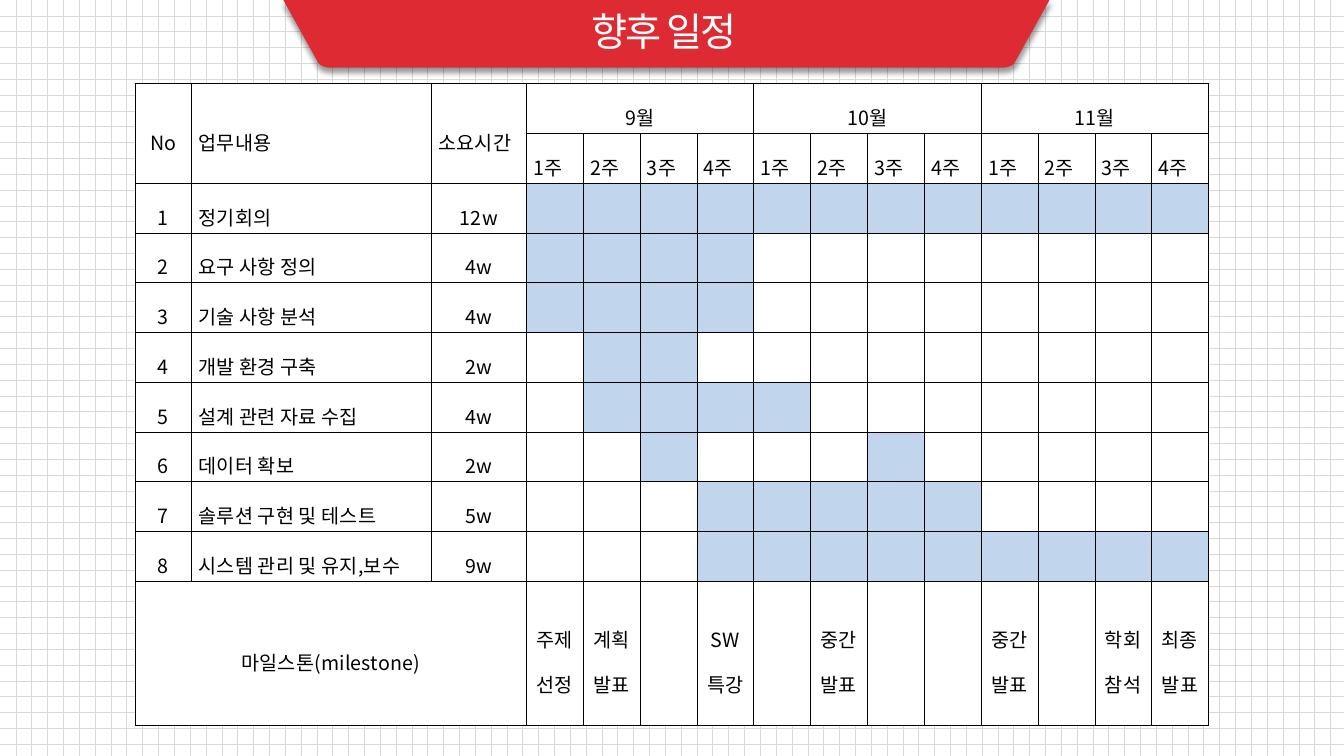
from lxml.etree import SubElement
from pptx import Presentation
from pptx.dml.color import RGBColor
from pptx.enum.dml import MSO_PATTERN
from pptx.enum.text import MSO_ANCHOR, PP_ALIGN
from pptx.oxml.ns import qn
from pptx.util import Inches, Pt

TITLE = "향후 일정"
HEADS = ["No", "업무내용", "소요시간"]
MONTHS = ["9월", "10월", "11월"]
WEEKS = ["1주", "2주", "3주", "4주"]
# task, time, busy spans of weeks (first, last) counted from 1 to 12
TASKS = [
    ("정기회의", "12w", [(1, 12)]),
    ("요구 사항 정의", "4w", [(1, 4)]),
    ("기술 사항 분석", "4w", [(1, 4)]),
    ("개발 환경 구축", "2w", [(2, 3)]),
    ("설계 관련 자료 수집", "4w", [(2, 5)]),
    ("데이터 확보", "2w", [(3, 3), (7, 7)]),
    ("솔루션 구현 및 테스트", "5w", [(4, 8)]),
    ("시스템 관리 및 유지,보수", "9w", [(4, 12)]),
]
GOAL = "마일스톤(milestone)"
GOALS = {1: "주제선정", 2: "계획발표", 4: "SW\n특강", 6: "중간발표",
         9: "중간\n발표", 11: "학회\n참석", 12: "최종발표"}

COLORS = {"red": "DE2A33", "busy": "C1D6ED", "white": "FFFFFF",
          "black": "000000", "dots": "D9D9D9"}
FONT = "Noto Sans CJK KR"
LEFT, TOP, WIDTH = 1.34, 0.83, 10.65
LEAD = [0.56, 2.38, 0.94]
ROW, LAST = 0.49, 1.43
SPAN = len(MONTHS) * len(WEEKS)


def color(name):
    return RGBColor.from_string(COLORS[name])


def style(para, size, tone, gap, lines, align):
    """Format a paragraph and its runs; gap is letter spacing in 1/100 pt."""
    para.alignment, para.line_spacing = align, lines
    for run in para.runs:
        font = run.font
        font.size, font.name = Pt(size), FONT
        font.color.rgb = color(tone)
        props = font._element
        props.set("spc", str(gap))
        SubElement(props, qn("a:ea"), typeface=FONT)


def curve(a, b, c, d, steps=6):
    """Points along a cubic curve from a to d."""
    points = []
    for i in range(steps + 1):
        t = i / steps
        u = 1 - t
        points.append(tuple(u**3 * p + 3 * u * u * t * q + 3 * u * t * t * r + t**3 * s
                            for p, q, r, s in zip(a, b, c, d)))
    return points


def add_banner(slide):
    mid = 6.61
    right = [(10.41, 0)] + curve((10.07, 0.61), (10.05, 0.65), (10.02, 0.66), (9.97, 0.67))
    left = [(2 * mid - x, y) for x, y in reversed(right)]
    first, *rest = [(Inches(x), Inches(y)) for x, y in right + left]
    form = slide.shapes.build_freeform(*first)
    form.add_line_segments(rest, close=True)
    banner = form.convert_to_shape()
    banner.fill.solid()
    banner.fill.fore_color.rgb = color("red")
    banner.line.fill.background()
    banner.shadow.inherit = False
    effects = banner.element.spPr.find(qn("a:effectLst"))
    shade = SubElement(effects, qn("a:outerShdw"), blurRad=str(Pt(4)), dist=str(Pt(3)),
                       dir="5400000", algn="t", rotWithShape="0")
    tint = SubElement(shade, qn("a:srgbClr"), val=COLORS["black"])
    SubElement(tint, qn("a:alpha"), val="40000")
    slide.shapes.title.element.addprevious(banner.element)


def add_title(slide):
    title = slide.shapes.title
    title.left, title.top = Inches(5.77), Inches(0.05)
    title.width, title.height = Inches(2.12), Inches(0.57)
    frame = title.text_frame
    frame.text = TITLE
    frame.vertical_anchor = MSO_ANCHOR.MIDDLE
    style(frame.paragraphs[0], 28, "white", -140, 0.9, PP_ALIGN.LEFT)


def fill_cell(cell, tone):
    props = cell._tc.get_or_add_tcPr()
    for side in ("lnL", "lnR", "lnT", "lnB"):
        line = SubElement(props, qn("a:" + side), w=str(Pt(0.28)))
        solid = SubElement(line, qn("a:solidFill"))
        SubElement(solid, qn("a:srgbClr"), val=COLORS["black"])
    cell.fill.solid()
    cell.fill.fore_color.rgb = color(tone)


def write(cell, text, align=PP_ALIGN.CENTER):
    cell.text_frame.text = text
    cell.vertical_anchor = MSO_ANCHOR.MIDDLE
    cell.margin_left = cell.margin_right = Inches(0.07)
    cell.margin_top = cell.margin_bottom = Inches(0.02)
    for para in cell.text_frame.paragraphs:
        style(para, 14, "black", 10, 1.6, align)


def add_plan(slide):
    lead, end = len(LEAD), len(TASKS) + 2
    heights = [ROW] * end + [LAST]
    widths = LEAD + [(WIDTH - sum(LEAD)) / SPAN] * SPAN
    table = slide.shapes.add_table(len(heights), len(widths), Inches(LEFT), Inches(TOP),
                                   Inches(WIDTH), Inches(sum(heights))).table
    table.first_row = table.horz_banding = False
    for row, high in zip(table.rows, heights):
        row.height = Inches(high)
    for col, wide in zip(table.columns, widths):
        col.width = Inches(wide)

    busy = {(r, lead + week - 1) for r, task in enumerate(TASKS, 2)
            for first, last in task[2] for week in range(first, last + 1)}
    for r in range(len(heights)):
        for c in range(len(widths)):
            fill_cell(table.cell(r, c), "busy" if (r, c) in busy else "white")

    just = PP_ALIGN.JUSTIFY
    for c, head in enumerate(HEADS):
        table.cell(0, c).merge(table.cell(1, c))
        write(table.cell(0, c), head, just if c else PP_ALIGN.CENTER)
    for m, month in enumerate(MONTHS):
        start = lead + m * len(WEEKS)
        table.cell(0, start).merge(table.cell(0, start + len(WEEKS) - 1))
        write(table.cell(0, start), month)
        for c, week in enumerate(WEEKS, start):
            write(table.cell(1, c), week, just)
    for num, (task, time, _) in enumerate(TASKS, 1):
        write(table.cell(num + 1, 0), str(num))
        write(table.cell(num + 1, 1), task, just)
        write(table.cell(num + 1, 2), time)
    table.cell(end, 0).merge(table.cell(end, lead - 1))
    write(table.cell(end, 0), GOAL)
    for week, goal in GOALS.items():
        write(table.cell(end, lead + week - 1), goal)


def main():
    deck = Presentation()
    deck.slide_width, deck.slide_height = Inches(13.33), Inches(7.5)
    slide = deck.slides.add_slide(deck.slide_layouts[5])
    back = slide.background.fill
    back.patterned()
    back.pattern = MSO_PATTERN.DOTTED_GRID
    back.fore_color.rgb = color("dots")
    back.back_color.rgb = color("white")
    add_banner(slide)
    add_title(slide)
    add_plan(slide)
    deck.save("out.pptx")


if __name__ == "__main__":
    main()
